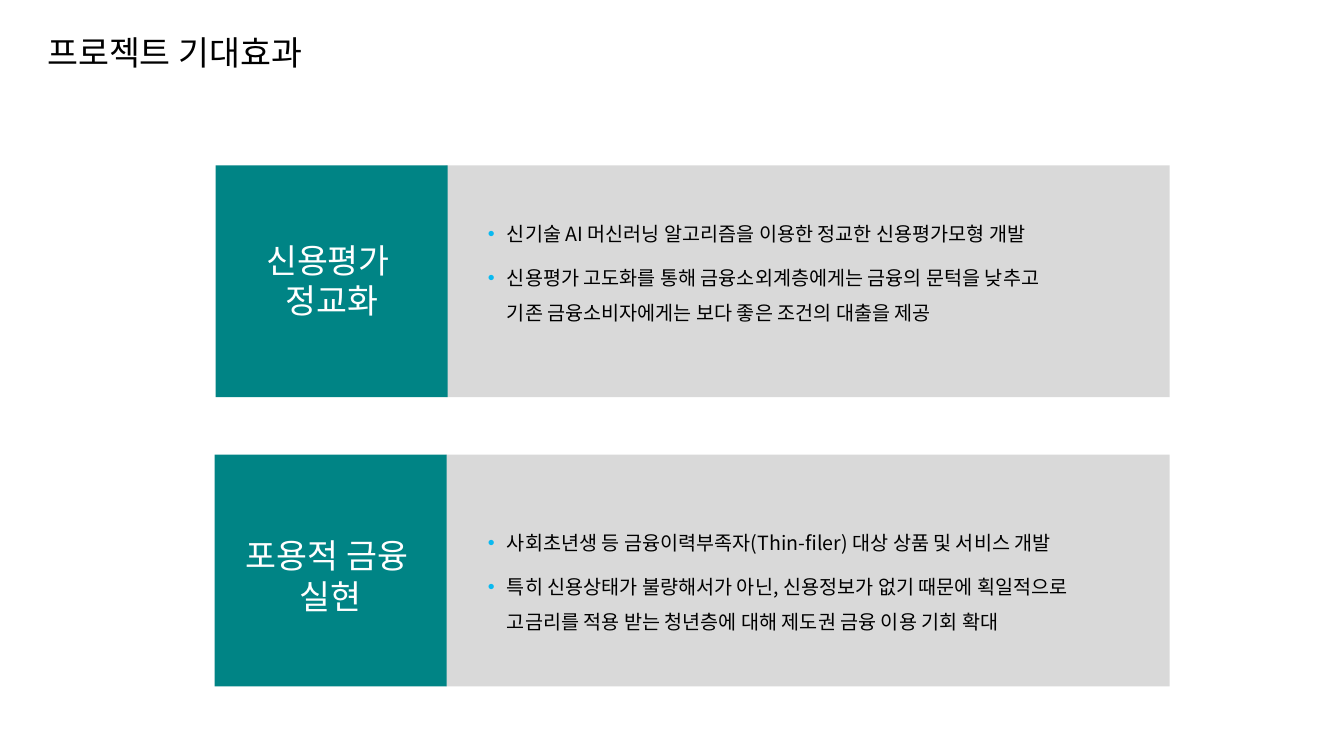
from lxml.etree import SubElement
from pptx import Presentation
from pptx.dml.color import RGBColor
from pptx.enum.shapes import MSO_SHAPE as SHAPE
from pptx.enum.text import PP_ALIGN as ALIGN
from pptx.oxml.ns import qn
from pptx.util import Inches, Pt

FONT = "Noto Sans CJK KR"
TEAL, GREY, BLACK, WHITE, CYAN = "008485", "D9D9D9", "000000", "FFFFFF", "0AB9F0"

TITLE = "프로젝트 기대효과"
EFFECTS = [
    dict(left=2.14, top=1.64, label=["신용평가 ", "정교화"], label_top=2.33,
         bullets=["신기술 AI 머신러닝 알고리즘을 이용한 정교한 신용평가모형 개발",
                  "신용평가 고도화를 통해 금융소외계층에게는 금융의 문턱을 낮추고 "
                  "기존 금융소비자에게는 보다 좋은 조건의 대출을 제공"],
         bullets_top=2.04, bullets_width=5.9),
    dict(left=2.13, top=4.51, label=["포용적 금융 ", "실현"], label_top=5.26,
         bullets=["사회초년생 등 금융이력부족자(Thin-filer) 대상 상품 및 서비스 개발",
                  "특히 신용상태가 불량해서가 아닌, 신용정보가 없기 때문에 "
                  "획일적으로 고금리를 적용 받는 청년층에 대해 제도권 금융 이용 기회 확대"],
         bullets_top=5.1, bullets_width=6.2),
]
SIDE = 2.3
PANEL_LEFT, PANEL_WIDTH = 4.42, 7.18
BULLETS_LEFT = 4.64


def rgb(color):
    return RGBColor.from_string(color)


def add_rect(left, top, width, height, color):
    sp = slide.shapes.add_shape(SHAPE.RECTANGLE, *map(Inches, (left, top, width, height)))
    sp.shadow.inherit = False
    sp.fill.solid()
    sp.fill.fore_color.rgb = rgb(color)
    sp.line.fill.background()


def add_bullet(p):
    pPr = p._p.get_or_add_pPr()
    pPr.set("marL", str(Inches(0.29)))
    pPr.set("indent", str(Inches(-0.19)))
    SubElement(SubElement(pPr, qn("a:buClr")), qn("a:srgbClr"), val=CYAN)
    SubElement(pPr, qn("a:buFont"), typeface="Arial")
    SubElement(pPr, qn("a:buChar"), char="•")


def add_text(lines, left, top, width, height, size=24, color=BLACK,
             align=ALIGN.LEFT, spacing=None, after=None, bullet=False):
    tf = slide.shapes.add_textbox(*map(Inches, (left, top, width, height))).text_frame
    tf.word_wrap = True
    for i, line in enumerate(lines):
        p = tf.paragraphs[0] if i == 0 else tf.add_paragraph()
        p.alignment = align
        p.line_spacing = spacing
        if after is not None:
            p.space_after = Pt(after)
        if bullet:
            add_bullet(p)
        r = p.add_run()
        r.text = line
        r.font.size = Pt(size)
        r.font.name = FONT
        r.font.color.rgb = rgb(color)
        SubElement(r._r.get_or_add_rPr(), qn("a:ea"), typeface=FONT)


prs = Presentation()
prs.slide_width, prs.slide_height = Inches(13.33), Inches(7.5)
slide = prs.slides.add_slide(prs.slide_layouts[6])

add_text([TITLE], 0.37, 0.31, 8.81, 0.79, spacing=0.9)
for e in EFFECTS:
    add_rect(PANEL_LEFT, e["top"], PANEL_WIDTH, SIDE, GREY)
    add_rect(e["left"], e["top"], SIDE, SIDE, TEAL)
    add_text(e["label"], e["left"], e["label_top"], SIDE, 0.91,
             color=WHITE, align=ALIGN.CENTER)
    add_text(e["bullets"], BULLETS_LEFT, e["bullets_top"], e["bullets_width"], 1.22,
             size=14, spacing=1.5, after=6, bullet=True)

prs.save("out.pptx")
